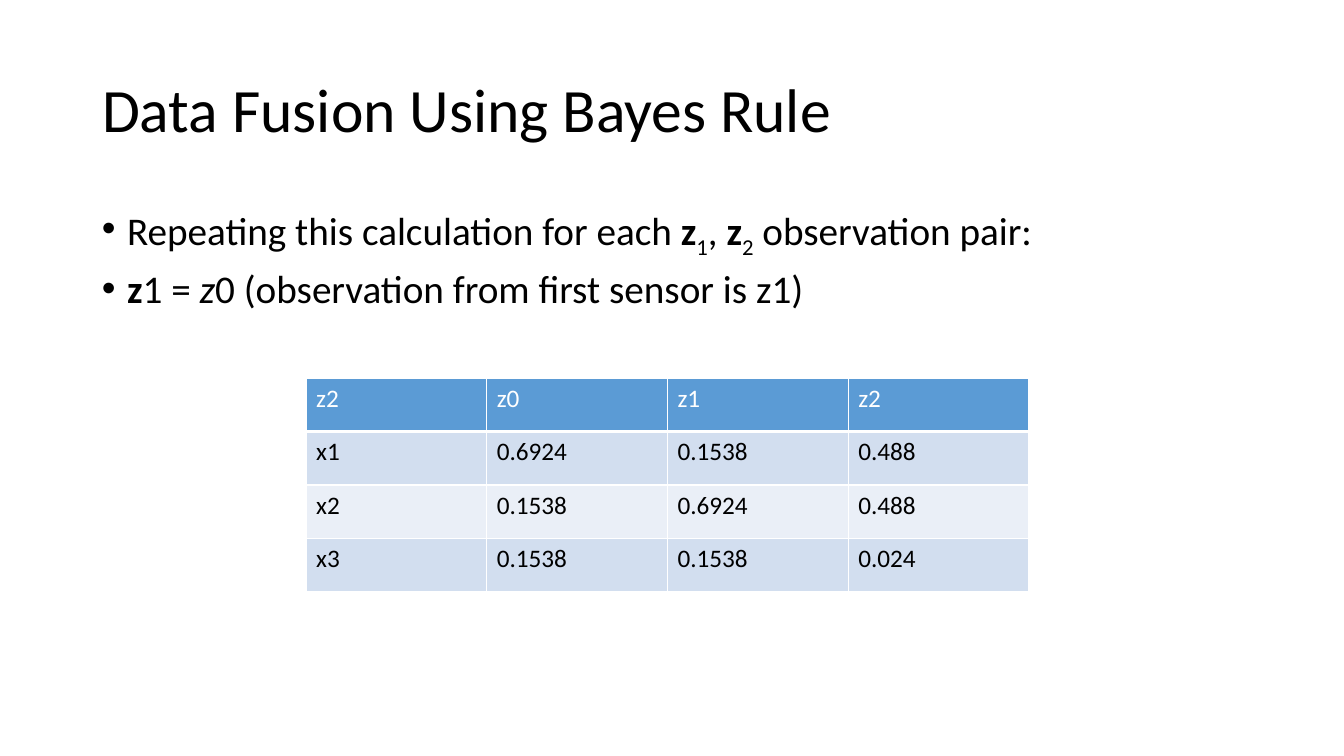
from lxml import etree
from pptx import Presentation
from pptx.dml.color import RGBColor
from pptx.enum.text import MSO_ANCHOR, PP_ALIGN
from pptx.oxml.ns import qn
from pptx.util import Pt

MIDDLE, LEFT = MSO_ANCHOR.MIDDLE, PP_ALIGN.LEFT
SCALE = 12192000 / 1344
FONT = "Calibri"
COLORS = {"text": "000000", "white": "FFFFFF", "head": "5B9BD5",
          "odd": "D2DEEF", "even": "EAEFF7"}


def px(count):
    return round(count * SCALE)


def style(run, size, color="text"):
    run.font.name = FONT
    run.font.size = Pt(size)
    run.font.color.rgb = RGBColor.from_string(COLORS[color])


deck = Presentation()
deck.slide_width, deck.slide_height = px(1344), px(756)
slide = deck.slides.add_slide(deck.slide_layouts[5])

# Title
title = slide.shapes.title
title.left, title.top, title.width, title.height = px(92), px(40), px(1159), px(146)
frame = title.text_frame
frame.text = "Data Fusion Using Bayes Rule"
frame.vertical_anchor = MIDDLE
para = frame.paragraphs[0]
para.alignment = LEFT
para.line_spacing = 0.9
style(para.runs[0], 44)

# Bullets: each run has a text and a form
BULLETS = [
    [("Repeating this calculation for each ", ""), ("z", "bold"), ("1", "sub"),
     (", ", ""), ("z", "bold"), ("2", "sub"), (" observation pair:", "")],
    [("z", "bold"), ("1 = ", ""), ("z", "italic"),
     ("0 (observation from first sensor is z1)", "")],
]
body = slide.shapes.add_textbox(px(92), px(202), px(1159), px(480))
frame = body.text_frame
frame.word_wrap = True
for index, parts in enumerate(BULLETS):
    para = frame.add_paragraph() if index else frame.paragraphs[0]
    para.line_spacing = 0.9
    para.space_before = Pt(10)
    props = para._p.get_or_add_pPr()
    props.set("marL", str(Pt(18)))
    props.set("indent", str(-Pt(18)))
    etree.SubElement(props, qn("a:buFont"), typeface="Arial")
    etree.SubElement(props, qn("a:buChar"), char="•")
    for text, form in parts:
        run = para.add_run()
        run.text = text
        style(run, 28)
        run.font.bold = form == "bold"
        run.font.italic = form == "italic"
        if form == "sub":
            run.font._element.set("baseline", "-25000")

# Table of fused values
ROWS = [
    ["z2", "z0", "z1", "z2"],
    ["x1", "0.6924", "0.1538", "0.488"],
    ["x2", "0.1538", "0.6924", "0.488"],
    ["x3", "0.1538", "0.1538", "0.024"],
]
table = slide.shapes.add_table(4, 4, px(306), px(378), px(723), px(214)).table
for r, row in enumerate(ROWS):
    shade = "head" if r == 0 else "odd" if r % 2 else "even"
    for c, text in enumerate(row):
        cell = table.cell(r, c)
        cell.text = text
        run = cell.text_frame.paragraphs[0].runs[0]
        style(run, 18, "text" if r else "white")
        run.font.bold = False
        # White borders, heavier below the header
        props = cell._tc.get_or_add_tcPr()
        for side in "LRTB":
            width = Pt(3 if r == 0 and side == "B" else 1)
            line = etree.SubElement(props, qn("a:ln" + side), w=str(width))
            solid = etree.SubElement(line, qn("a:solidFill"))
            etree.SubElement(solid, qn("a:srgbClr"), val=COLORS["white"])
        cell.fill.solid()
        cell.fill.fore_color.rgb = RGBColor.from_string(COLORS[shade])

deck.save("out.pptx")
